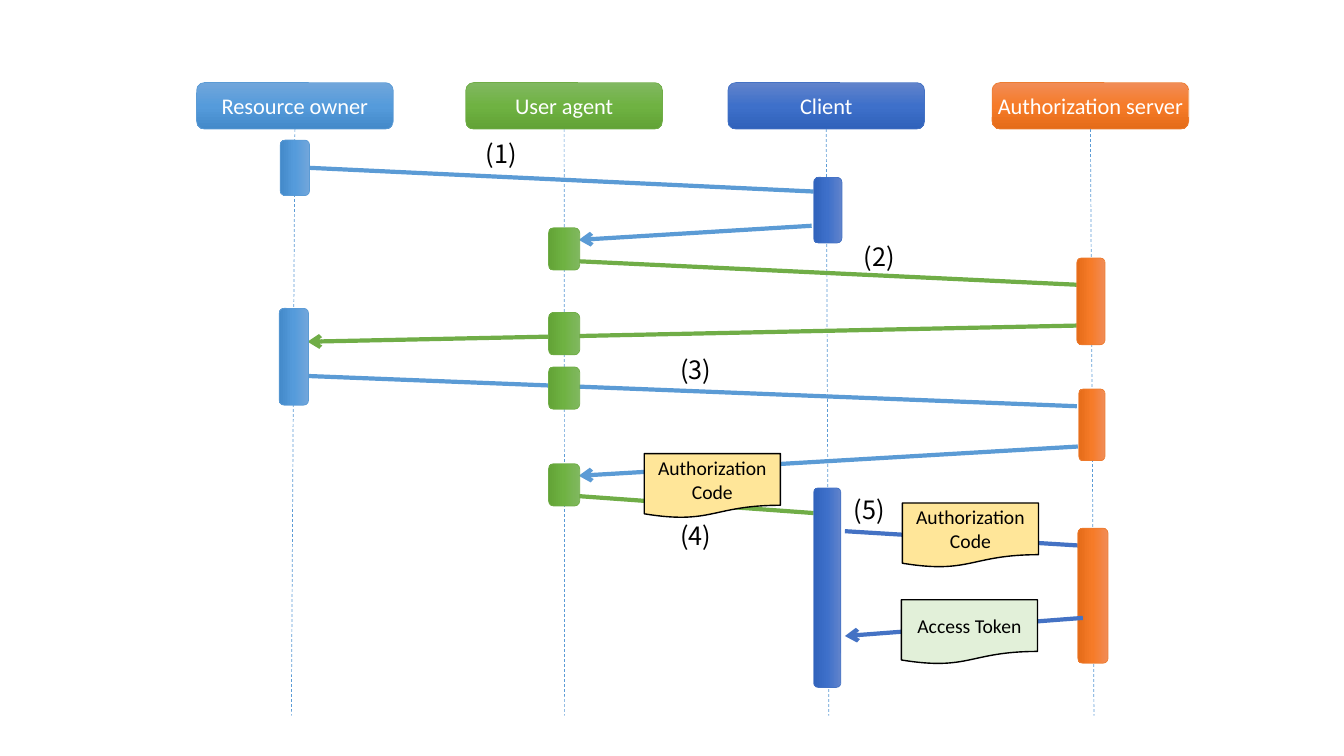
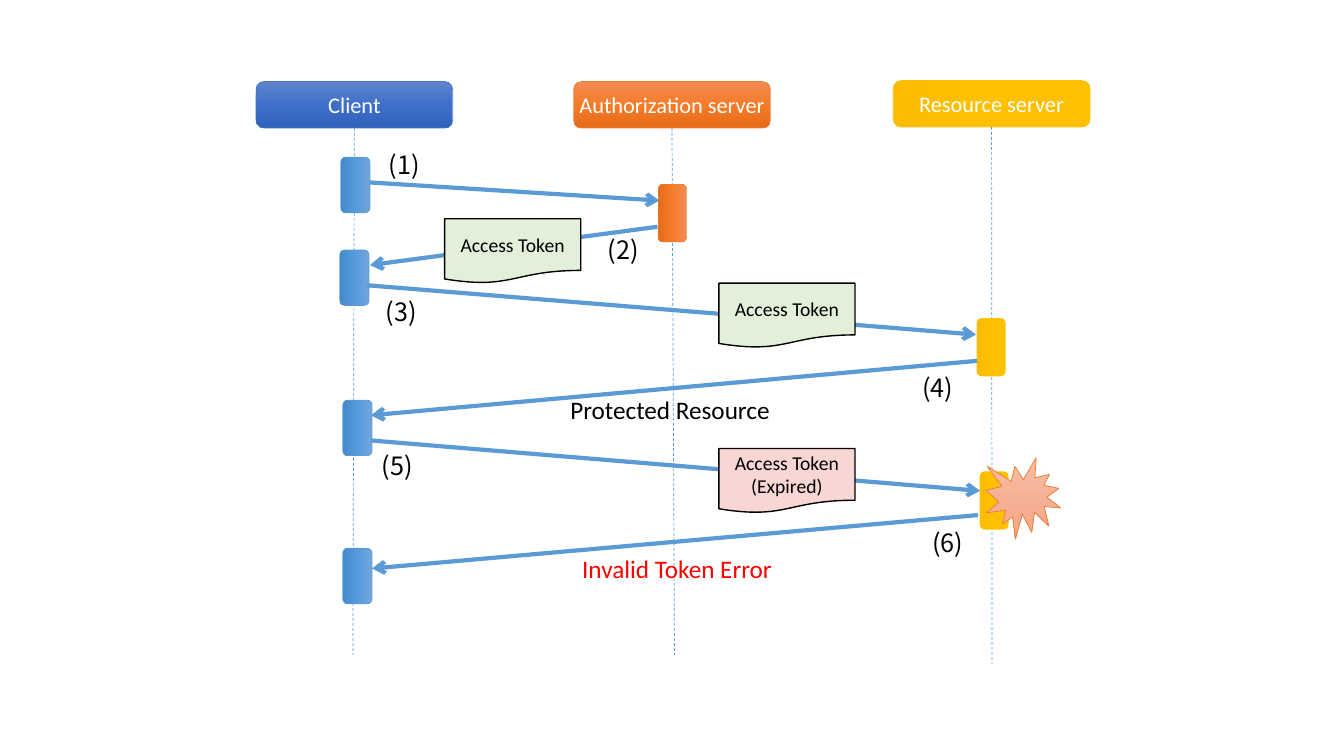
from copy import deepcopy
from dataclasses import dataclass
from typing import Optional

from lxml.etree import SubElement
from pptx import Presentation
from pptx.dml.color import RGBColor
from pptx.enum.dml import MSO_LINE
from pptx.enum.shapes import MSO_CONNECTOR, MSO_SHAPE
from pptx.enum.text import MSO_ANCHOR, MSO_AUTO_SIZE, PP_ALIGN
from pptx.oxml.ns import qn
from pptx.util import Inches, Pt

COLORS = {
    "blue": "5B9BD5", "green": "70AD47", "navy": "4472C4",
    "orange": "ED7D31", "gold": "FFC000", "seal": "ED7D31",
    "code": "FFE699", "token": "E2F0D9", "expired": "F7D6D3",
    "black": "000000", "white": "FFFFFF", "red": "FF0000",
}
GRADIENTS = {
    "blue": ("71A6DB", "559BDB", "448ACA"),
    "green": ("81B861", "6FB242", "62A336"),
    "navy": ("6183CB", "3E70CA", "3062BB"),
    "orange": ("F18C57", "F67B28", "E56C19"),
    "gold": ("FABC00", "FFC000", "FCBE00"),
    "seal": ("F7BDA5", "F5B196", "F8A582"),
}
FORMATS = {
    "header": {"name": "Calibri", "size": Pt(16)},
    "note": {"name": "Calibri", "size": Pt(14)},
    "step": {"name": "Noto Sans CJK JP", "size": Pt(18)},
    "caption": {"name": "Calibri", "size": Pt(18)},
}
HEADER_FRAME = {
    "vertical_anchor": MSO_ANCHOR.MIDDLE,
    "margin_left": Inches(0),
    "margin_right": Inches(0),
}
HEADER_WIDTH, HEADER_HEIGHT = 1.95, 0.46
NOTE_WIDTH, NOTE_HEIGHT = 1.35, 0.64
LABEL_HEIGHT = 0.4
DOWNWARD, LEFTWARD, RIGHTWARD = 270, 180, 0


def rgb(color: str) -> RGBColor:
    return RGBColor.from_string(COLORS[color])


def write(frame, text: str, style: str, color: str, align=PP_ALIGN.CENTER) -> None:
    """Fill a text frame, one paragraph for each line of the text."""
    frame.word_wrap = True
    for number, line in enumerate(text.split("\n")):
        para = frame.add_paragraph() if number else frame.paragraphs[0]
        para.alignment = align
        span = para.add_run()
        span.text = line
        for name, value in FORMATS[style].items():
            setattr(span.font, name, value)
        span.font.color.rgb = rgb(color)


def add_box(page, kind, left: float, top: float, width: float, height: float,
            outline: str, weight: float):
    box = page.shapes.add_shape(
        kind, Inches(left), Inches(top), Inches(width), Inches(height))
    box.shadow.inherit = False
    box.line.color.rgb = rgb(outline)
    box.line.width = Pt(weight)
    return box


def add_gradient_box(page, kind, left: float, top: float, width: float,
                     height: float, tone: str, angle: int):
    box = add_box(page, kind, left, top, width, height, tone, 0.5)
    box.fill.gradient()
    box.fill.gradient_angle = RIGHTWARD if tone == "gold" else angle
    stops = box._element.spPr.find(qn("a:gradFill")).find(qn("a:gsLst"))
    stops.append(deepcopy(stops[0]))
    for number, stop in enumerate(box.fill.gradient_stops):
        stop.position = number / 2
        stop.color.rgb = RGBColor.from_string(GRADIENTS[tone][number])
    return box


def add_line(page, start: tuple[float, float], end: tuple[float, float],
             color: str, weight: float):
    line = page.shapes.add_connector(
        MSO_CONNECTOR.STRAIGHT, *map(Inches, start + end))
    line.line.color.rgb = rgb(color)
    line.line.width = Pt(weight)
    SubElement(line._element.spPr, qn("a:effectLst"))
    return line


@dataclass(frozen=True)
class Lane:
    """A participant: its header and the dashed lifeline down to its foot."""
    text: str
    tone: str
    left: float
    top: float
    foot: tuple[float, float]

    def draw(self, page, drawn: dict):
        header = add_gradient_box(
            page, MSO_SHAPE.ROUNDED_RECTANGLE, self.left, self.top,
            HEADER_WIDTH, HEADER_HEIGHT, self.tone, DOWNWARD)
        for name, value in HEADER_FRAME.items():
            setattr(header.text_frame, name, value)
        write(header.text_frame, self.text, "header", "white")
        start = (self.left + HEADER_WIDTH / 2, self.top + HEADER_HEIGHT)
        lifeline = add_line(page, start, self.foot, "blue", 0.5)
        lifeline.line.dash_style = MSO_LINE.DASH
        lifeline.begin_connect(header, 2)
        return header


@dataclass(frozen=True)
class Bar:
    """A period of activity on a lifeline."""
    tone: str
    left: float
    top: float
    width: float
    height: float

    def draw(self, page, drawn: dict):
        return add_gradient_box(
            page, MSO_SHAPE.ROUNDED_RECTANGLE, self.left, self.top,
            self.width, self.height, self.tone, LEFTWARD)


@dataclass(frozen=True)
class Message:
    start: tuple[float, float]
    end: tuple[float, float]
    color: str = "blue"
    arrow: bool = True
    source: Optional[Bar] = None

    def draw(self, page, drawn: dict):
        line = add_line(page, self.start, self.end, self.color, 3)
        if self.arrow:
            outline = line._element.spPr.find(qn("a:ln"))
            SubElement(outline, qn("a:tailEnd"), type="arrow")
        if self.source:
            line.begin_connect(drawn[self.source], 3)
        return line


@dataclass(frozen=True)
class Note:
    """A document that travels along a message."""
    text: str
    color: str
    left: float
    top: float

    def draw(self, page, drawn: dict):
        box = add_box(page, MSO_SHAPE.FLOWCHART_DOCUMENT, self.left, self.top,
                      NOTE_WIDTH, NOTE_HEIGHT, "black", 1)
        box.fill.solid()
        box.fill.fore_color.rgb = rgb(self.color)
        box.text_frame.vertical_anchor = MSO_ANCHOR.MIDDLE
        write(box.text_frame, self.text, "note", "black")
        return box


@dataclass(frozen=True)
class Label:
    text: str
    left: float
    top: float
    width: float = 0.88
    style: str = "step"
    color: str = "black"
    align: PP_ALIGN = PP_ALIGN.CENTER

    def draw(self, page, drawn: dict):
        box = page.shapes.add_textbox(
            Inches(self.left), Inches(self.top),
            Inches(self.width), Inches(LABEL_HEIGHT))
        write(box.text_frame, self.text, self.style, self.color, self.align)
        box.text_frame.auto_size = MSO_AUTO_SIZE.SHAPE_TO_FIT_TEXT
        return box


@dataclass(frozen=True)
class Burst:
    left: float
    top: float
    width: float
    height: float

    def draw(self, page, drawn: dict):
        return add_gradient_box(page, MSO_SHAPE.EXPLOSION1, self.left, self.top,
                                self.width, self.height, "seal", DOWNWARD)


def left_step(text: str, left: float, top: float) -> Label:
    return Label(text, left, top, 0.64, align=PP_ALIGN.LEFT)


def agent_bar(top: float) -> Bar:
    return Bar("green", 5.44, top, 0.31, 0.42)


def client_bar(left: float, top: float) -> Bar:
    return Bar("blue", left, top, 0.29, 0.55)


OWNER_START = Bar("blue", 2.78, 1.39, 0.29, 0.55)

# Each diagram lists its parts from back to front.
CODE_GRANT = [
    Lane("Resource owner", "blue", 1.95, 0.82, (2.89, 7.1)),
    Lane("User agent", "green", 4.62, 0.82, (5.6, 7.1)),
    Lane("Client", "navy", 7.22, 0.82, (8.22, 7.1)),
    Lane("Authorization server", "orange", 9.84, 0.82, (10.85, 7.1)),
    OWNER_START,
    Message((3.07, 1.67), (8.07, 1.9), arrow=False, source=OWNER_START),
    Message((8.05, 2.24), (5.74, 2.38)),
    Message((5.69, 2.59), (10.79, 2.83), "green", arrow=False),
    Message((10.68, 3.23), (3.05, 3.39), "green"),
    Message((3.05, 3.73), (10.68, 4.03), arrow=False),
    Message((10.69, 4.43), (5.74, 4.72)),
    Message((5.71, 4.92), (8.07, 5.09), "green", arrow=False),
    Message((8.38, 5.27), (10.83, 5.42), "navy", arrow=False),
    Bar("blue", 2.77, 3.06, 0.29, 0.96),
    *map(agent_bar, (2.26, 3.1, 3.64, 4.6)),
    Bar("navy", 8.07, 1.76, 0.28, 0.65),
    Bar("navy", 8.07, 4.84, 0.27, 1.98),
    Bar("orange", 10.68, 2.56, 0.28, 0.86),
    Bar("orange", 10.7, 3.86, 0.26, 0.71),
    Bar("orange", 10.69, 5.24, 0.3, 1.34),
    Message((10.74, 6.13), (8.38, 6.31), "navy"),
    Note("Authorization Code", "code", 6.39, 4.5),
    Note("Authorization Code", "code", 8.95, 4.99),
    Note("Access Token", "token", 8.94, 5.95),
    left_step("(1)", 4.72, 1.32),
    left_step("(2)", 8.47, 2.34),
    left_step("(3)", 6.65, 3.47),
    left_step("(4)", 6.65, 5.11),
    left_step("(5)", 8.37, 4.86),
]

TOKEN_EXPIRY = [
    Lane("Client", "navy", 2.54, 0.81, (3.5, 6.5)),
    Lane("Authorization server", "orange", 5.69, 0.81, (6.69, 6.5)),
    Lane("Resource server", "gold", 8.86, 0.8, (9.84, 6.58)),
    client_bar(3.38, 1.56),
    client_bar(3.37, 2.48),
    client_bar(3.4, 3.97),
    client_bar(3.4, 5.44),
    Bar("orange", 6.53, 1.83, 0.28, 0.57),
    Bar("gold", 9.69, 3.16, 0.28, 0.57),
    Bar("gold", 9.72, 4.68, 0.28, 0.57),
    Message((3.67, 1.81), (6.54, 1.99)),
    Message((6.52, 2.25), (3.67, 2.63)),
    Message((3.64, 2.83), (9.68, 3.32)),
    Message((9.69, 3.58), (3.68, 4.12)),
    Message((3.68, 4.37), (9.72, 4.87)),
    Message((9.7, 5.11), (3.69, 5.64)),
    Note("Access Token", "token", 4.41, 2.17),
    Note("Access Token", "token", 7.13, 2.81),
    Note("Access Token\n(Expired)", "expired", 7.13, 4.45),
    Burst(9.78, 4.54, 0.74, 0.81),
    Label("(1)", 3.57, 1.43),
    Label("(2)", 5.74, 2.28),
    Label("(3)", 3.54, 2.89),
    Label("(4)", 8.86, 3.64),
    Label("(5)", 3.5, 4.42),
    Label("(6)", 8.96, 5.18),
    Label("Protected Resource", 5.12, 3.86, 3.05, "caption"),
    Label("Invalid Token Error", 5.19, 5.44, 3.05, "caption", "red"),
]


def main() -> None:
    deck = Presentation()
    deck.slide_width, deck.slide_height = Inches(13.33), Inches(7.5)
    blank_layout = deck.slide_layouts[6]
    for diagram in (CODE_GRANT, TOKEN_EXPIRY):
        page = deck.slides.add_slide(blank_layout)
        drawn = {}
        for part in diagram:
            drawn[part] = part.draw(page, drawn)
    deck.save("out.pptx")


if __name__ == "__main__":
    main()
